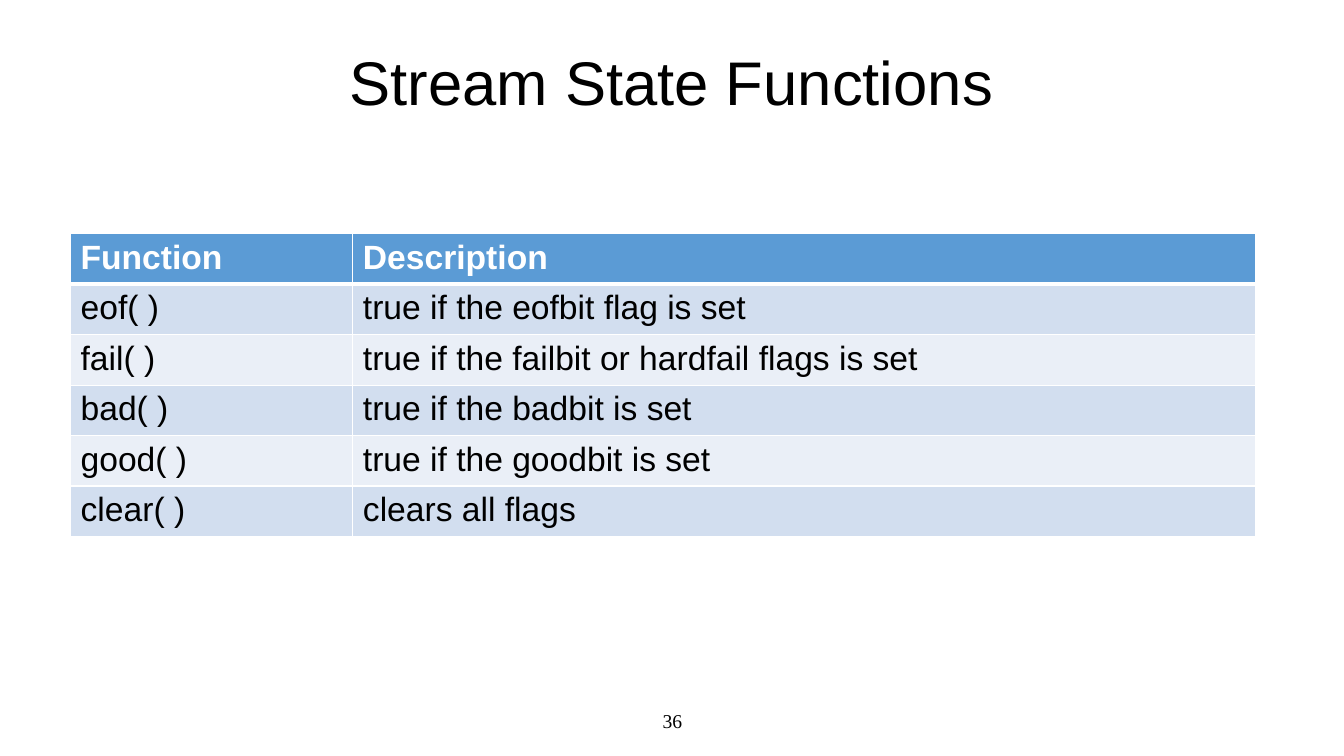
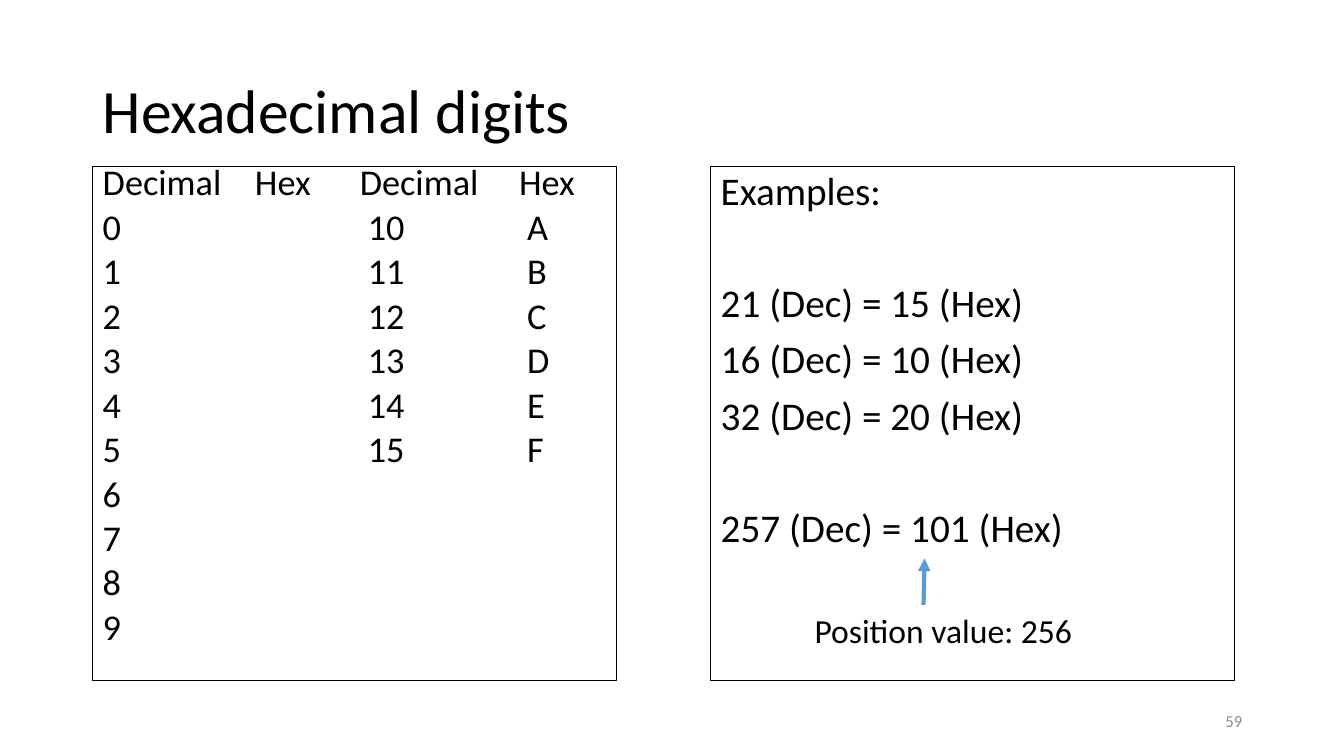
from dataclasses import dataclass
from typing import Any, Optional

from lxml import etree
from pptx import Presentation
from pptx.dml.color import RGBColor
from pptx.enum.shapes import MSO_CONNECTOR, MSO_SHAPE
from pptx.enum.text import MSO_ANCHOR, PP_ALIGN
from pptx.oxml.ns import qn
from pptx.util import Emu, Pt

EMU_PER_PX = 9144
STRAIGHT = MSO_CONNECTOR.STRAIGHT
RECTANGLE = MSO_SHAPE.RECTANGLE
TOP, MIDDLE = MSO_ANCHOR.TOP, MSO_ANCHOR.MIDDLE
LEFT, CENTER, RIGHT = PP_ALIGN.LEFT, PP_ALIGN.CENTER, PP_ALIGN.RIGHT

WHITE = RGBColor(0xFF, 0xFF, 0xFF)
BLACK = RGBColor(0x00, 0x00, 0x00)
GRAY = RGBColor(0x8C, 0x8C, 0x8C)
BLUE = RGBColor(0x5B, 0x9B, 0xD5)
BAND_DARK = RGBColor(0xD2, 0xDE, 0xEF)
BAND_LIGHT = RGBColor(0xEA, 0xEF, 0xF7)

ARIAL, CALIBRI, TIMES = "Arial", "Calibri", "Times New Roman"
TITLE_SIZE = 44
FOOTER_TOP, FOOTER_HEIGHT = 695, 40
PANEL_TOP, PANEL_WIDTH, PANEL_HEIGHT = 165, 519, 510
ROW_HEIGHT = 47
COLUMN_WIDTHS = (280, 895)

FUNCTIONS = (
    ("Function", "Description"),
    ("eof( )", "true if the eofbit flag is set"),
    ("fail( )", "true if the failbit or hardfail flags is set"),
    ("bad( )", "true if the badbit is set"),
    ("good( )", "true if the goodbit is set"),
    ("clear( )", "clears all flags"),
)


@dataclass(frozen=True)
class Area:
    left: int
    top: int
    width: int
    height: int


@dataclass(frozen=True)
class Style:
    font: str
    size: float
    color: RGBColor = BLACK
    bold: bool = False
    align: Any = LEFT
    anchor: Any = TOP
    line_spacing: float = 1.0
    wrap: bool = True


@dataclass(frozen=True)
class Line:
    text: str
    space_before: int = 0
    tabs: tuple[int, ...] = ()


def px(length: int) -> Emu:
    return Emu(length * EMU_PER_PX)


def place(area: Area) -> tuple[Emu, Emu, Emu, Emu]:
    return px(area.left), px(area.top), px(area.width), px(area.height)


def apply(target: Any, values: dict[str, Any]) -> None:
    for name, value in values.items():
        setattr(target, name, value)


def add_tabs(para: Any, tabs: tuple[int, ...]) -> None:
    if tabs:
        stops = etree.SubElement(para._p.get_or_add_pPr(), qn("a:tabLst"))
        for stop in tabs:
            etree.SubElement(stops, qn("a:tab"), pos=str(px(stop)), algn="l")


def write(frame: Any, lines: tuple[Line, ...], style: Style) -> None:
    for index, line in enumerate(lines):
        para = frame.add_paragraph() if index else frame.paragraphs[0]
        add_tabs(para, line.tabs)
        apply(para, {
            "alignment": style.align,
            "line_spacing": style.line_spacing,
            "space_before": Pt(line.space_before),
        })
        span = para.add_run()
        span.text = line.text
        apply(span.font, {"name": style.font, "size": Pt(style.size), "bold": style.bold})
        span.font.color.rgb = style.color


def add_text(page: Any, area: Area, text: str, style: Style) -> None:
    box = page.shapes.add_textbox(*place(area))
    apply(box.text_frame, {"word_wrap": style.wrap, "vertical_anchor": style.anchor})
    write(box.text_frame, (Line(text),), style)


def add_title(page: Any, area: Area, text: str, font: str, align: Any) -> None:
    style = Style(font, TITLE_SIZE, align=align, anchor=MIDDLE, line_spacing=0.9)
    add_text(page, area, text, style)


def add_page_number(page: Any, left: int, width: int, text: str, style: Style) -> None:
    add_text(page, Area(left, FOOTER_TOP, width, FOOTER_HEIGHT), text, style)


def add_panel(page: Any, left: int, lines: tuple[Line, ...], style: Style) -> None:
    area = Area(left, PANEL_TOP, PANEL_WIDTH, PANEL_HEIGHT)
    panel = page.shapes.add_shape(RECTANGLE, *place(area))
    panel.shadow.inherit = False
    panel.fill.background()
    panel.line.color.rgb = BLACK
    panel.line.width = Pt(0.75)
    apply(panel.text_frame, {"word_wrap": style.wrap, "vertical_anchor": style.anchor})
    write(panel.text_frame, lines, style)


def add_arrow(page: Any, start: tuple[int, int], end: tuple[int, int]) -> None:
    points = (px(value) for value in (*start, *end))
    arrow = page.shapes.add_connector(STRAIGHT, *points)
    arrow.line.color.rgb = BLUE
    arrow.line.width = Pt(3)
    etree.SubElement(arrow.line._get_or_add_ln(), qn("a:tailEnd"), type="triangle")
    etree.SubElement(arrow._element.spPr, qn("a:effectLst"))


def add_borders(cell: Any, widths: dict[str, int]) -> None:
    properties = cell._tc.get_or_add_tcPr()
    for side, width in widths.items():
        border = etree.SubElement(properties, qn(f"a:{side}"), w=str(Pt(width)))
        fill = etree.SubElement(border, qn("a:solidFill"))
        etree.SubElement(fill, qn("a:srgbClr"), val=str(WHITE))


def add_function_table(page: Any, left: int, top: int) -> None:
    area = Area(left, top, sum(COLUMN_WIDTHS), ROW_HEIGHT * len(FUNCTIONS))
    table = page.shapes.add_table(len(FUNCTIONS), len(COLUMN_WIDTHS), *place(area)).table
    for column, width in zip(table.columns, COLUMN_WIDTHS):
        column.width = px(width)
    for row, texts in enumerate(FUNCTIONS):
        header = row == 0
        band = BLUE if header else BAND_DARK if row % 2 else BAND_LIGHT
        style = Style(ARIAL, 24, WHITE if header else BLACK, bold=header)
        borders = {"lnL": 1, "lnR": 1, "lnT": 3 if row == 1 else 1, "lnB": 3 if header else 1}
        for column, text in enumerate(texts):
            cell = table.cell(row, column)
            add_borders(cell, borders)
            cell.fill.solid()
            cell.fill.fore_color.rgb = band
            write(cell.text_frame, (Line(text),), style)


def digit_lines() -> tuple[Line, ...]:
    lines = [Line("Decimal\tHex\tDecimal\tHex", tabs=(151, 255, 413))]
    for digit in range(10):
        value = digit + 10
        if value < 16:
            lines.append(Line(f"{digit}\t{value}\t{value:X}", 10, (263, 421)))
        else:
            lines.append(Line(str(digit), 10))
    return tuple(lines)


def example_lines() -> tuple[Line, ...]:
    lines = [Line("Examples:")]
    for value, gap in ((21, 50), (16, 10), (32, 10), (257, 50)):
        lines.append(Line(f"{value} (Dec) = {value:x} (Hex)", gap))
    return tuple(lines)


def build_functions_page(page: Any) -> None:
    add_title(page, Area(0, 25, 1333, 119), "Stream State Functions", ARIAL, CENTER)
    add_function_table(page, 70, 232)
    add_page_number(page, 442, 450, "36", Style(TIMES, 14, align=CENTER, anchor=MIDDLE))


def build_digits_page(page: Any) -> None:
    add_title(page, Area(92, 40, 1150, 145), "Hexadecimal digits", CALIBRI, LEFT)
    add_panel(page, 92, digit_lines(), Style(CALIBRI, 25.9, line_spacing=0.7))
    add_panel(page, 705, example_lines(), Style(CALIBRI, 28, line_spacing=0.9))
    add_arrow(page, (916, 600), (917, 554))
    add_text(page, Area(798, 600, 278, 50), "Position value: 256", Style(CALIBRI, 24, wrap=False))
    add_page_number(page, 942, 300, "59", Style(CALIBRI, 12, GRAY, align=RIGHT, anchor=MIDDLE))


def main() -> None:
    deck = Presentation()
    apply(deck, {"slide_width": px(1333), "slide_height": px(750)})
    blank: Optional[Any] = deck.slide_layouts.get_by_name("Blank")
    for build in (build_functions_page, build_digits_page):
        build(deck.slides.add_slide(blank))
    deck.save("out.pptx")


if __name__ == "__main__":
    main()
